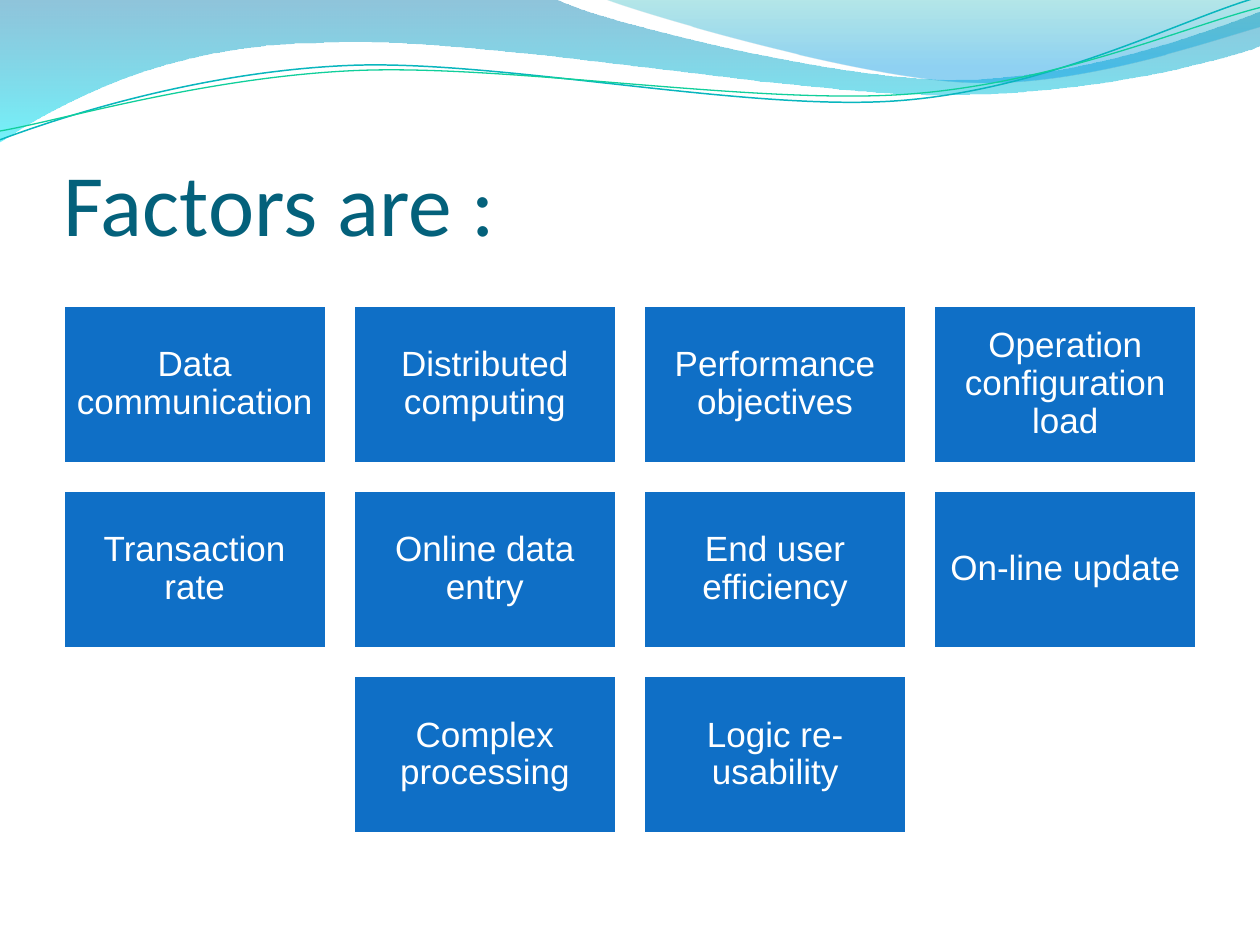
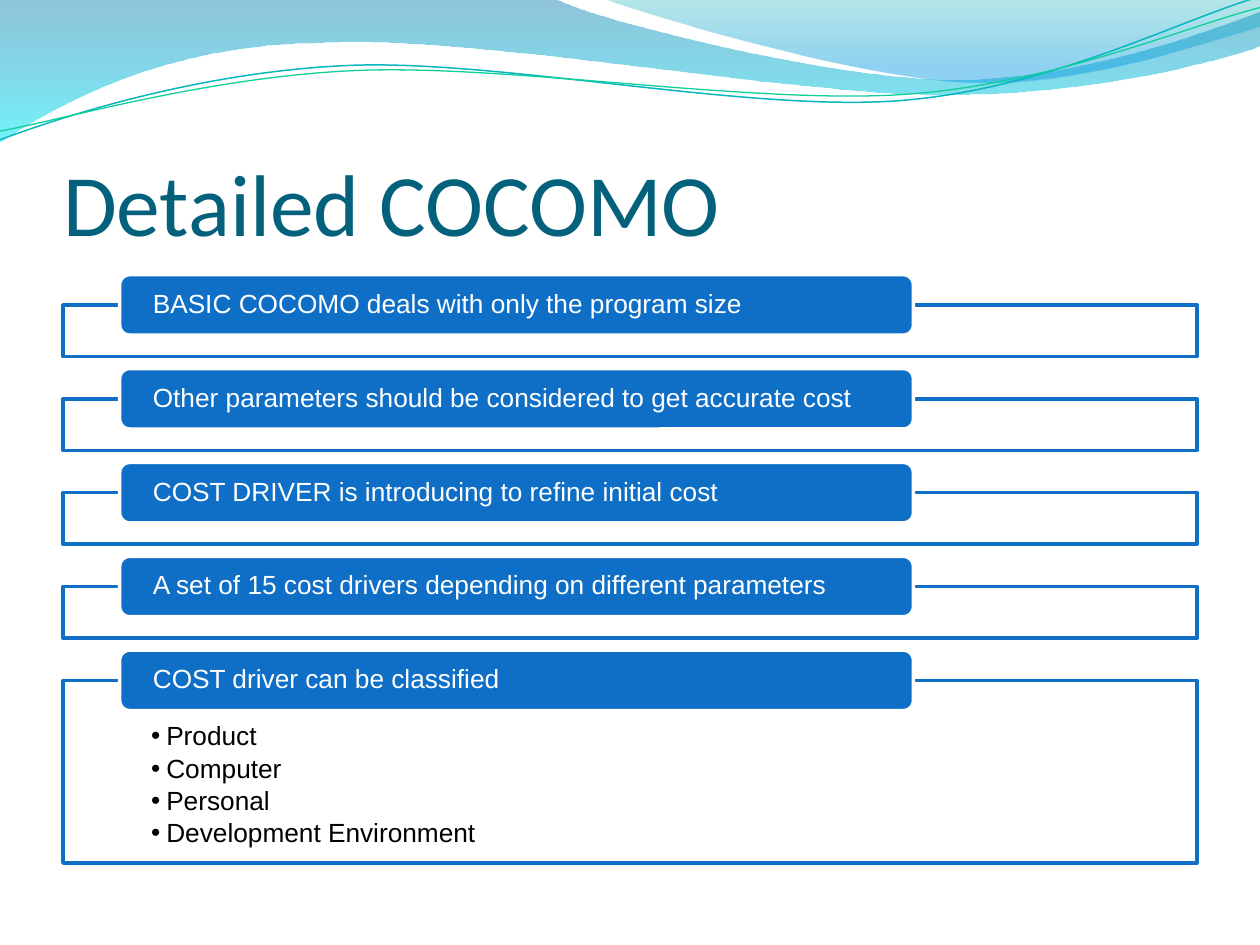
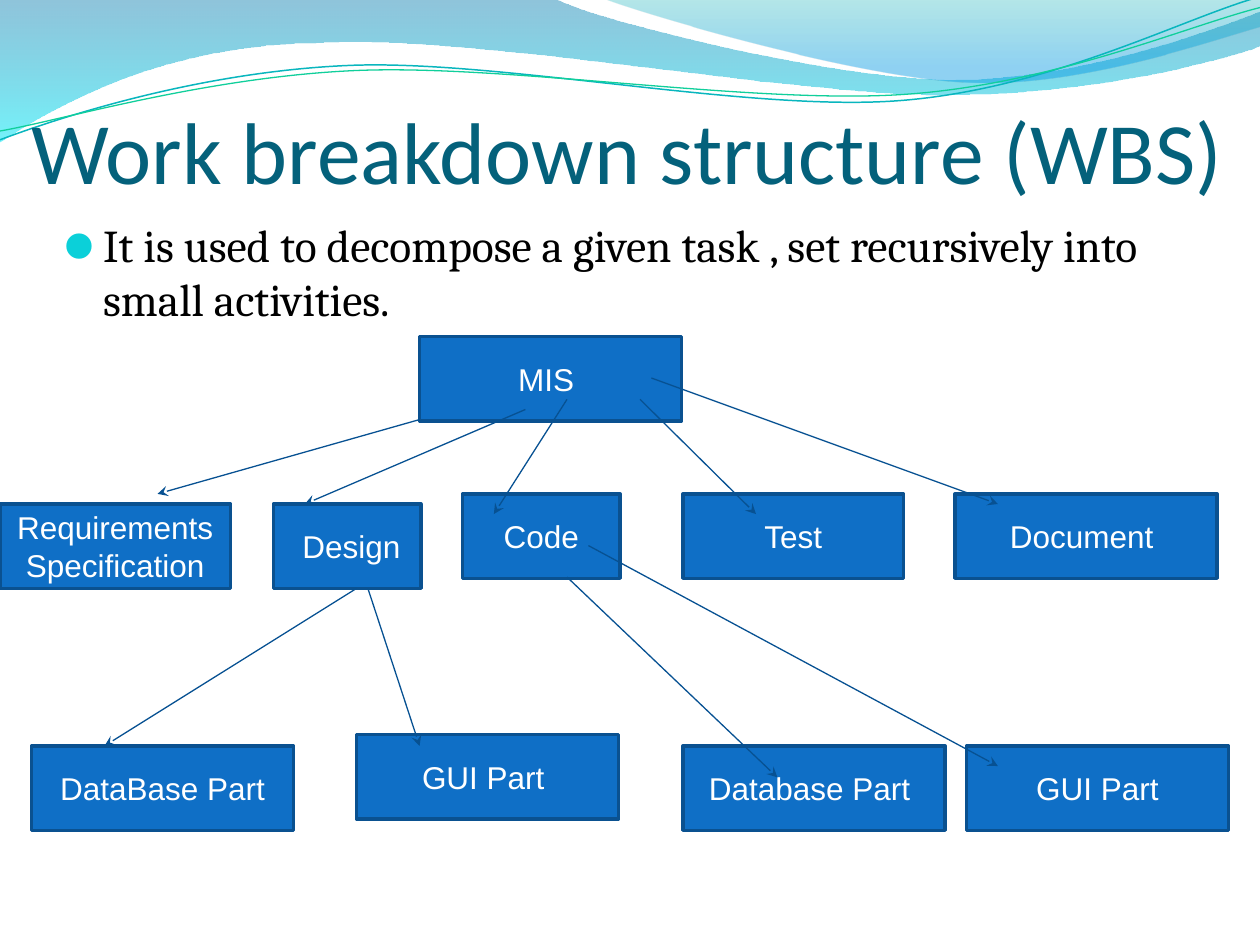
from lxml.etree import SubElement
from pptx import Presentation
from pptx.dml.color import RGBColor
from pptx.enum.shapes import MSO_CONNECTOR, MSO_SHAPE
from pptx.enum.text import MSO_ANCHOR, MSO_AUTO_SIZE, PP_ALIGN
from pptx.oxml.ns import qn
from pptx.util import Inches, Pt

WHITE = RGBColor(0xFF, 0xFF, 0xFF)
BLACK = RGBColor(0x00, 0x00, 0x00)
BLUE = RGBColor(0x0F, 0x6F, 0xC6)
BORDER_BLUE = RGBColor(0x0A, 0x51, 0x90)
ARROW_BLUE = RGBColor(0x07, 0x51, 0x92)
TITLE_TEAL = RGBColor(0x04, 0x61, 0x7B)
BULLET_CYAN = RGBColor(0x0B, 0xD0, 0xD9)
WAVE_BLUE = RGBColor(0x00, 0x79, 0xAD)
WAVE_CYAN = RGBColor(0x00, 0xE9, 0xF7)
WAVE_TEAL = RGBColor(0x00, 0xAB, 0xB4)
WAVE_SKY = RGBColor(0x00, 0x99, 0xE4)
LINE_TEAL = RGBColor(0x09, 0xB6, 0xBE)
LINE_GREEN = RGBColor(0x10, 0xCF, 0x9B)


def write(shape, text, size=18, font="Arial", color=WHITE, align=PP_ALIGN.LEFT,
          anchor=MSO_ANCHOR.MIDDLE, insets=(0.1, 0.05, 0.1, 0.05), line_spacing=1.0,
          space_after=0, bullet=None, bullet_color=BLACK, indent=0):
    """Write each line of text as a paragraph in the given format."""
    frame = shape.text_frame
    frame.text = text
    frame.word_wrap = True
    frame.auto_size = MSO_AUTO_SIZE.NONE
    frame.vertical_anchor = anchor
    (frame.margin_left, frame.margin_top,
     frame.margin_right, frame.margin_bottom) = map(Inches, insets)
    for paragraph in frame.paragraphs:
        paragraph.alignment = align
        paragraph.line_spacing = line_spacing
        paragraph.space_after = Pt(space_after)
        for run in paragraph.runs:
            run.font.name = font
            run.font.size = Pt(size)
            run.font.color.rgb = color
        if bullet:
            properties = paragraph._p.get_or_add_pPr()
            properties.set("marL", str(Inches(indent)))
            properties.set("indent", str(-Inches(indent)))
            bullet_fill = SubElement(properties, qn("a:buClr"))
            SubElement(bullet_fill, qn("a:srgbClr"), val=str(bullet_color))
            SubElement(properties, qn("a:buFont"), typeface="Arial")
            SubElement(properties, qn("a:buChar"), char=bullet)


def add_box(slide, left, top, width, height, fill=BLUE, line=WHITE,
            kind=MSO_SHAPE.RECTANGLE):
    box = slide.shapes.add_shape(
        kind, Inches(left), Inches(top), Inches(width), Inches(height))
    box.shadow.inherit = False
    box.fill.solid()
    box.fill.fore_color.rgb = fill
    box.line.color.rgb = line
    box.line.width = Pt(2)
    return box


presentation = Presentation()
presentation.slide_width = Inches(10)
presentation.slide_height = Inches(7.5)

# Slides and titles
titles = [
    ("Factors are :", (0.5, 0.77, 9, 1.25)),
    ("Detailed COCOMO", (0.5, 0.77, 9, 1.25)),
    ("Work breakdown structure (WBS)", (0.25, 0.25, 9.5, 1.35)),
]
slides = []
for text, position in titles:
    slide = presentation.slides.add_slide(presentation.slide_layouts[5])
    title = slide.shapes.title
    title.left, title.top, title.width, title.height = map(Inches, position)
    write(title, text, size=50, font="Calibri", color=TITLE_TEAL,
          anchor=MSO_ANCHOR.BOTTOM, insets=(0, 0.05, 0, 0))
    slides.append(slide)
factors_slide, cocomo_slide, wbs_slide = slides

# Wave band on the master: a pair is a line end, six numbers are a Bezier segment
waves = [
    ([(0, -0.01), (4.4, -0.01), (4.76, 0.17, 6.64, 0.63, 7.58, 0.63),
      (8.53, 0.63, 9.58, 0.26, 10, 0.09), (10.01, 0.36),
      (9.83, 0.44, 8.7, 0.76, 7.46, 0.75), (6.22, 0.75, 3.82, 0.28, 2.57, 0.34),
      (1.29, 0.35, 0.46, 0.83, -0.01, 1.13), (0, -0.01)],
     [(0, WAVE_BLUE, 44), (1, WAVE_CYAN, 55)], None),
    ([(4.79, -0.01), (5.09, 0.11, 6.82, 0.62, 7.69, 0.65),
      (8.56, 0.69, 9.61, 0.32, 10, 0.21), (10, 0), (4.79, -0.01)],
     [(0, WAVE_TEAL, 29), (0.8, WAVE_SKY, 44)], None),
    ([(0, 1.11), (0.48, 0.93, 1.58, 0.57, 2.77, 0.52),
      (3.95, 0.47, 5.93, 0.89, 7.13, 0.8), (8.33, 0.71, 9.38, 0.15, 9.98, -0.02)],
     None, (LINE_TEAL, 0.85)),
    ([(0, 1.04), (0.47, 0.96, 1.64, 0.61, 2.83, 0.56),
      (4.03, 0.51, 5.97, 0.83, 7.17, 0.75), (8.36, 0.67, 9.41, 0.21, 10, 0.06)],
     None, (LINE_GREEN, 0.75)),
]
master_tree = presentation.slide_master.shapes.element
for layer, (segments, gradient, line) in enumerate(waves):
    ends = [tuple(map(Inches, segment[-2:])) for segment in segments]
    builder = factors_slide.shapes.build_freeform(*ends[0])
    builder.add_line_segments(ends[1:], close=gradient is not None)
    wave = builder.convert_to_shape()
    wave.shadow.inherit = False
    # Bend the straight segments by adding their two control points
    steps = list(wave.element.iter(qn("a:lnTo")))
    for step, segment in zip(steps, segments[1:]):
        if len(segment) == 6:
            step.tag = qn("a:cubicBezTo")
            end_point = step[0]
            for x, y in (segment[:2], segment[2:4]):
                control = SubElement(step, qn("a:pt"), x=str(Inches(x) - wave.left),
                                     y=str(Inches(y) - wave.top))
                end_point.addprevious(control)
    if gradient:
        wave.line.fill.background()
        wave.fill.gradient()
        wave.fill.gradient_angle = 270
        for stop, (position, color, opacity) in zip(wave.fill.gradient_stops, gradient):
            stop.position = position
            stop.color.rgb = color
        colors = wave.element.spPr.iter(qn("a:srgbClr"))
        for color_element, (position, color, opacity) in zip(colors, gradient):
            SubElement(color_element, qn("a:alpha"), val=str(opacity * 1000))
    else:
        wave.fill.background()
        wave.line.color.rgb = line[0]
        wave.line.width = Pt(line[1])
    master_tree.insert(2 + layer, wave.element)

# Factors: rows of tiles, the short row centred
factor_rows = [
    ["Data communication", "Distributed computing", "Performance objectives",
     "Operation configuration load"],
    ["Transaction rate", "Online data entry", "End user efficiency", "On-line update"],
    ["Complex processing", "Logic re-usability"],
]
tile_width = 2.09
column_step = (9 - tile_width) / 3
for row, factors in enumerate(factor_rows):
    first_column = (4 - len(factors)) / 2
    for column, factor in enumerate(factors):
        tile = add_box(factors_slide, 0.5 + (first_column + column) * column_step,
                       2.42 + row * 1.47, tile_width, 1.26)
        write(tile, factor, size=20, align=PP_ALIGN.CENTER, insets=(0.08,) * 4,
              line_spacing=0.9)

# Detailed COCOMO: a header over each frame, the last frame holds a list
statements = [
    "BASIC COCOMO deals with only the program size",
    "Other parameters should be considered to get accurate cost",
    "COST DRIVER is introducing to refine initial cost",
    "A set of 15 cost drivers depending on different parameters",
    "COST driver can be classified",
]
driver_classes = "Product\nComputer\nPersonal\nDevelopment Environment"
header_step = (5.16 - 2.18) / 4
for index, statement in enumerate(statements):
    top = 2.18 + index * header_step
    is_last = index == len(statements) - 1
    frame_box = add_box(cocomo_slide, 0.5, top + 0.24, 9, 1.45 if is_last else 0.41,
                        fill=WHITE, line=BLUE)
    if is_last:
        write(frame_box, driver_classes, size=15, color=BLACK, anchor=MSO_ANCHOR.TOP,
              insets=(0.7, 0.34, 0.7, 0.12), line_spacing=0.9, space_after=2.25,
              bullet="•", indent=0.12)
    header = add_box(cocomo_slide, 0.95, top, 6.3, 0.48,
                     kind=MSO_SHAPE.ROUNDED_RECTANGLE)
    write(header, statement, size=15, insets=(0.24, 0, 0.24, 0), line_spacing=0.9)

# Work breakdown structure: introduction
introduction = wbs_slide.shapes.add_textbox(
    Inches(0.42), Inches(1.67), Inches(9), Inches(4.8))
write(introduction,
      "It is used to decompose a given task , set recursively into small activities.",
      size=26, font="Cambria", color=BLACK, anchor=MSO_ANCHOR.TOP,
      bullet="⚫", bullet_color=BULLET_CYAN, indent=0.3)

# Work breakdown structure: tasks
tasks = [
    ("MIS ", 3.33, 2.67, 2.08),
    (" Design", 2.17, 4, 1.17),
    ("Requirements Specification", 0, 4, 1.83),
    ("Code", 3.67, 3.92, 1.25),
    ("Test", 5.42, 3.92, 1.75),
    ("Document ", 7.58, 3.92, 2.08),
    ("GUI Part ", 2.83, 5.83, 2.08),
    ("DataBase Part", 0.25, 5.92, 2.08),
    ("Database Part ", 5.42, 5.92, 2.08),
    ("GUI Part", 7.67, 5.92, 2.08),
]
for task, left, top, width in tasks:
    task_box = add_box(wbs_slide, left, top, width, 0.67, line=BORDER_BLUE)
    write(task_box, task, align=PP_ALIGN.CENTER)

# Work breakdown structure: arrows from each task to its parts
arrows = [
    (3.33, 3.33, 1.25, 3.92), (4.17, 3.25, 2.42, 4), (4.5, 3.17, 3.92, 4.08),
    (5.08, 3.17, 6, 4.08), (2.83, 4.67, 0.83, 5.92), (5.17, 3, 7.92, 4),
    (2.92, 4.67, 3.33, 5.92), (4.5, 4.58, 6.17, 6.17), (4.67, 4.33, 7.92, 6.08),
]
for ends in arrows:
    arrow = wbs_slide.shapes.add_connector(MSO_CONNECTOR.STRAIGHT, *map(Inches, ends))
    arrow.line.color.rgb = ARROW_BLUE
    arrow.line.width = Pt(0.75)
    SubElement(arrow.line._get_or_add_ln(), qn("a:tailEnd"), type="stealth")
    SubElement(arrow.element.spPr, qn("a:effectLst"))

presentation.save("out.pptx")
